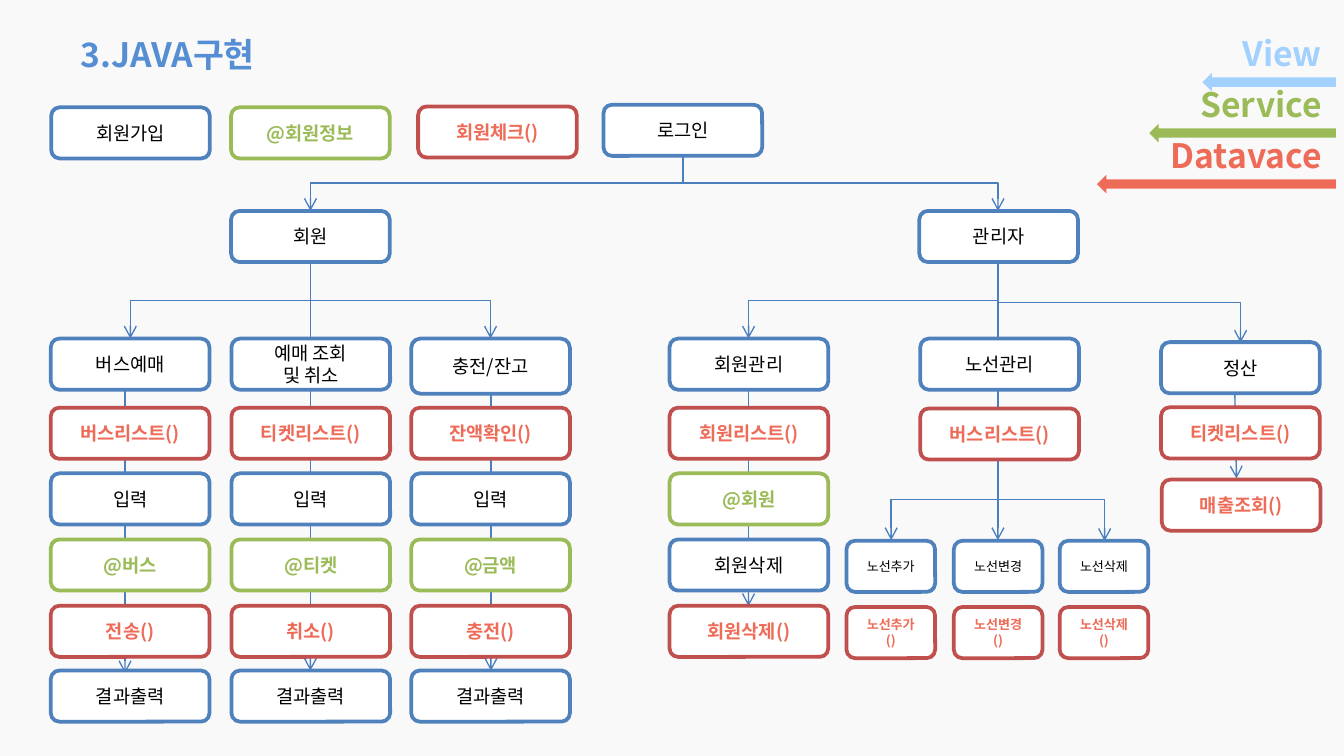
from lxml import etree
from pptx import Presentation
from pptx.dml.color import RGBColor
from pptx.enum import shapes, text
from pptx.oxml.ns import qn
from pptx.util import Pt

FONT = "Noto Sans CJK KR"
BLUE, GREEN, RED = "4F81BD", "9BBB59", "C0504D"
SKY, CORAL, WIRE = "A2D1FF", "EE6B58", "4B7EBC"
# kind of box: outline, text colour, bold
STYLES = {"view": (BLUE, "000000", False),
          "service": (GREEN, GREEN, True),
          "data": (RED, CORAL, True)}
BOX_W, BOX_H, SMALL_W = 85, 27.4, 47.5


def rgb(hex_code):
    return RGBColor.from_string(hex_code)


def write(sp, content, size, color, bold, align):
    tf = sp.text_frame
    tf.text = content
    tf.word_wrap = True
    tf.vertical_anchor = text.MSO_ANCHOR.MIDDLE
    for p in tf.paragraphs:
        p.alignment = align
        for r in p.runs:
            r.font.size, r.font.bold, r.font.name = Pt(size), bold, FONT
            r.font.color.rgb = rgb(color)
            ea = etree.SubElement(r.font._element, qn("a:ea"))
            ea.set("typeface", FONT)


prs = Presentation()
prs.slide_width, prs.slide_height = Pt(720), Pt(405)
s = prs.slides.add_slide(prs.slide_layouts[5])
s.background.fill.solid()
s.background.fill.fore_color.rgb = rgb("F9F9F9")

title = s.shapes.title
title.left, title.top, title.width, title.height = Pt(36), Pt(16.5), Pt(447), Pt(25)
write(title, "3.JAVA구현", 18, "568ED4", True, text.PP_ALIGN.LEFT)

# Connectors, all drawn downwards: x1, y1, x2, y2
wires = [
    (401, 208, 401, 324.7), (263, 211, 263, 359.3), (166.3, 140.4, 166.3, 359.3),
    (67, 207.4, 67, 360.7), (534.6, 140.4, 534.6, 289.4), (661.5, 209.5, 662.4, 256.3),
    (365.8, 83, 166.3, 113), (365.8, 83, 534.6, 113),
    (166.3, 140.4, 69.8, 181.4), (166.3, 140.4, 262.8, 181.4),
    (534.6, 140.4, 401, 181.4), (534.6, 140.4, 664.6, 183.6),
    (535, 245.5, 477.4, 289.4), (535, 245.5, 591.8, 289.8),
]
for x1, y1, x2, y2 in wires:
    dx, dy = x2 - x1, y2 - y1
    if abs(dx) < 2:
        line = s.shapes.add_connector(shapes.MSO_CONNECTOR.STRAIGHT,
                                      Pt(x1), Pt(y1), Pt(x2), Pt(y2))
    else:
        # An elbow leaves sideways, so it is laid flat and turned to leave downwards
        cx, cy = (x1 + x2) / 2, (y1 + y2) / 2
        half = dy / 2 if dx < 0 else -dy / 2
        line = s.shapes.add_connector(shapes.MSO_CONNECTOR.ELBOW,
                                      Pt(cx - half), Pt(cy - abs(dx) / 2),
                                      Pt(cx + half), Pt(cy + abs(dx) / 2))
        turn = 90 if dx < 0 else 270
        line._element.spPr.find(qn("a:xfrm")).set("rot", str(turn * 60000))
    line.line.width = Pt(0.75)
    line.line.color.rgb = rgb(WIRE)
    tail = etree.SubElement(line.line._get_or_add_ln(), qn("a:tailEnd"))
    tail.set("type", "arrow")
    etree.SubElement(line._element.spPr, qn("a:effectLst"))

# Boxes: left, top, kind, label
boxes = [
    (27.4, 57.5, "view", "회원가입"), (123.8, 57.5, "service", "@회원정보"),
    (224, 57, "data", "회원체크()"), (323.3, 56.1, "view", "로그인"),
    (123.8, 113, "view", "회원"), (492.5, 113, "view", "관리자"),
    (493, 181.4, "view", "노선관리"), (493, 218.8, "data", "버스리스트()"),
    (622, 183.3, "view", "정산"), (622, 218.2, "data", "티켓리스트()"),
    (622.4, 256.9, "data", "매출조회()"),
]
rows = [181.4, 218.4, 253.6, 289, 324.5, 359.2]
flow = ["view", "data", "view", "service", "data", "view"]
columns = [
    (27.2, flow, ["버스예매", "버스리스트()", "입력", "@버스", "전송()", "결과출력"]),
    (124, flow, ["예매 조회\n및 취소", "티켓리스트()", "입력", "@티켓", "취소()", "결과출력"]),
    (220.3, flow, ["충전/잔고", "잔액확인()", "입력", "@금액", "충전()", "결과출력"]),
    (358.7, ["view", "data", "service", "view", "data"],
     ["회원관리", "회원리스트()", "@회원", "회원삭제", "회원삭제()"]),
]
for left, kinds, labels in columns:
    boxes += [(left, *box) for box in zip(rows, kinds, labels)]
boxes = [(*box, BOX_W, 10) for box in boxes]
for left, label in [(453.5, "노선추가"), (511, "노선변경"), (567.7, "노선삭제")]:
    boxes += [(left, 289.7, "view", label, SMALL_W, 7),
              (left, 325.2, "data", label + "()", SMALL_W, 7)]

for left, top, kind, label, width, size in boxes:
    outline, color, bold = STYLES[kind]
    height = 29.5 if label == "충전/잔고" else BOX_H
    sp = s.shapes.add_shape(shapes.MSO_SHAPE.ROUNDED_RECTANGLE,
                            Pt(left), Pt(top), Pt(width), Pt(height))
    sp.shadow.inherit = False
    sp.fill.solid()
    sp.fill.fore_color.rgb = rgb("FFFFFF")
    sp.line.color.rgb = rgb(outline)
    sp.line.width = Pt(2)
    write(sp, label, size, color, bold, text.PP_ALIGN.CENTER)

# Legend: label above an arrow that ends at the right edge
legend = [("View", SKY, 71.5), ("Service", GREEN, 100), ("Datavace", CORAL, 128)]
for i, (label, color, length) in enumerate(legend):
    top = 16 + 27.3 * i
    sp = s.shapes.add_shape(shapes.MSO_SHAPE.LEFT_ARROW,
                            Pt(715.7 - length), Pt(top + 23), Pt(length), Pt(10))
    sp.shadow.inherit = False
    sp.fill.solid()
    sp.fill.fore_color.rgb = rgb(color)
    sp.line.fill.background()
    tb = s.shapes.add_textbox(Pt(583.2), Pt(top), Pt(132), Pt(25))
    write(tb, label, 18, color, True, text.PP_ALIGN.RIGHT)

prs.save("out.pptx")
